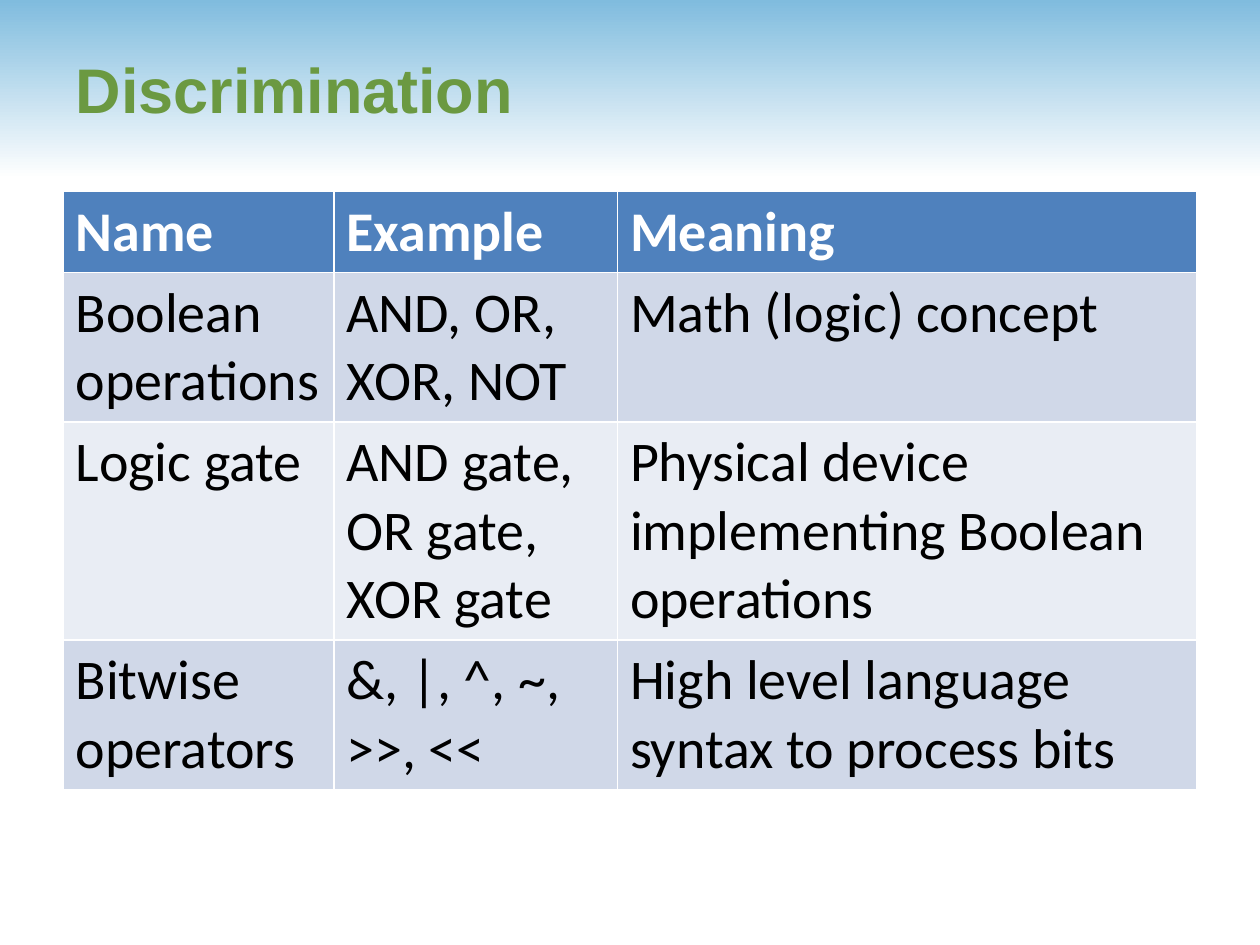
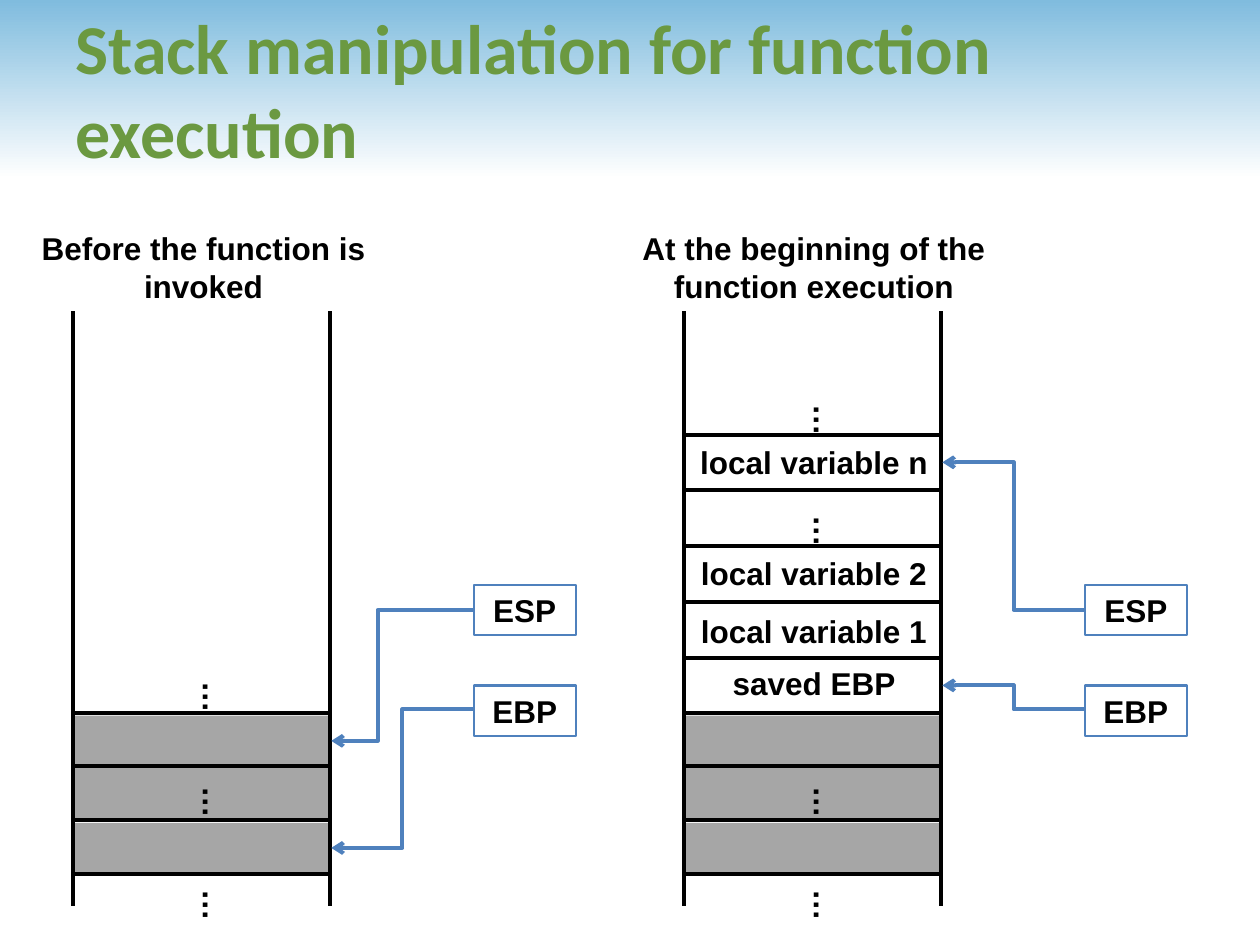
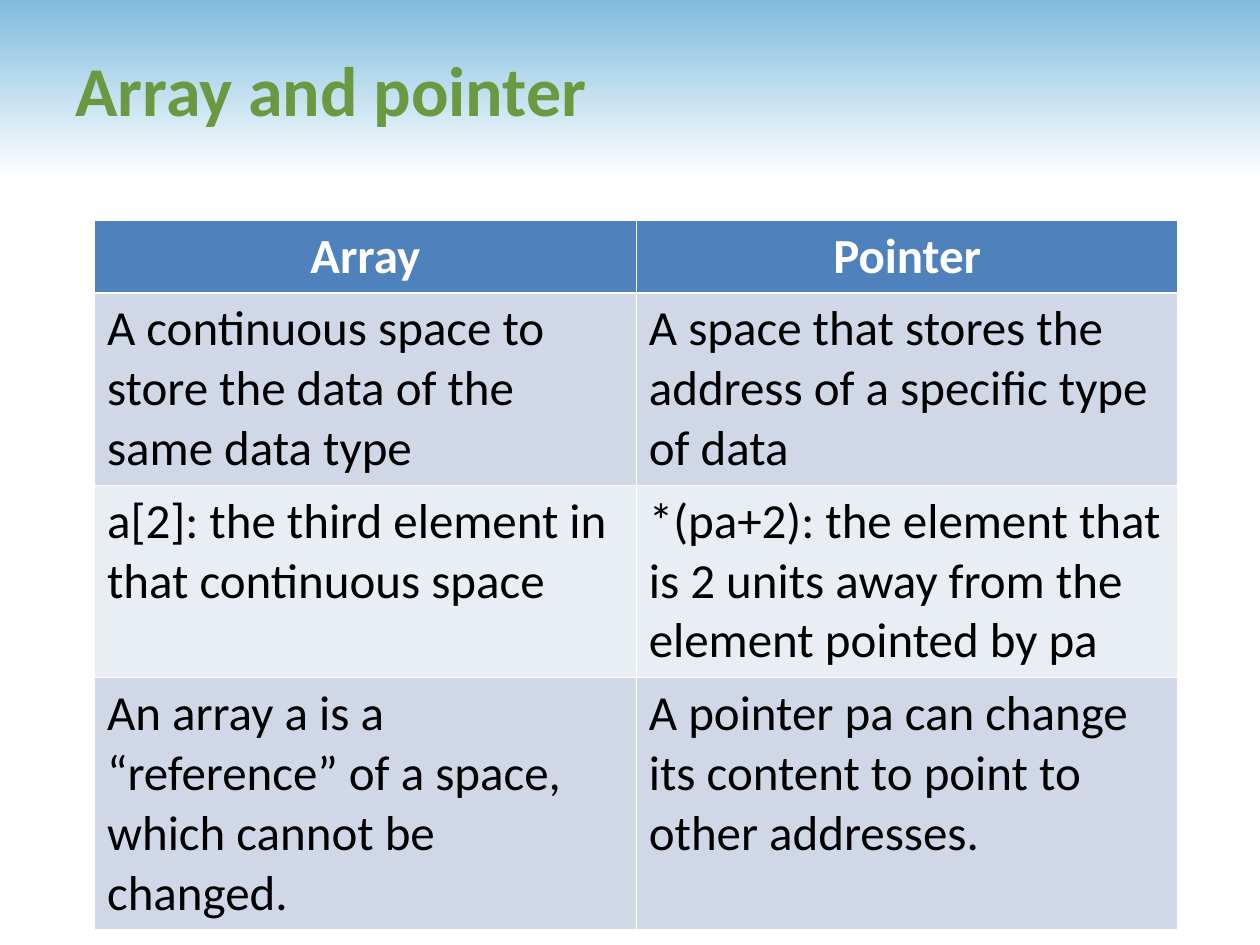
from pptx import Presentation
from pptx.dml.color import RGBColor
from pptx.enum.shapes import MSO_CONNECTOR, MSO_SHAPE
from pptx.enum.text import MSO_ANCHOR, MSO_AUTO_SIZE, PP_ALIGN
from pptx.oxml.ns import qn
from pptx.util import Emu, Pt
from lxml import etree

LINE, ELBOW = MSO_CONNECTOR.STRAIGHT, MSO_CONNECTOR.ELBOW
RECT = MSO_SHAPE.RECTANGLE
LEFT, CENTER = PP_ALIGN.LEFT, PP_ALIGN.CENTER
MIDDLE, FIXED = MSO_ANCHOR.MIDDLE, MSO_AUTO_SIZE.NONE

GREEN = RGBColor(0x6B, 0x99, 0x41)
SKY = RGBColor(0x80, 0xBC, 0xDE)
BLUE = RGBColor(0x4F, 0x81, 0xBD)
PALE = RGBColor(0xD0, 0xD8, 0xE8)
LIGHT = RGBColor(0xE9, 0xED, 0xF4)
GRAY = RGBColor(0xA6, 0xA6, 0xA6)
WHITE = RGBColor(0xFF, 0xFF, 0xFF)
BLACK = RGBColor(0, 0, 0)
PX = 9144


def write(frame, text, font="Arial", size=18, color=BLACK, bold=True, align=CENTER):
    frame.text = text
    frame.word_wrap = True
    para = frame.paragraphs[0]
    para.alignment = align
    run = para.runs[0].font
    run.name, run.size, run.bold = font, Pt(size), bold
    run.color.rgb = color


def link(slide, kind, ends, color):
    wire = slide.shapes.add_connector(kind, *[Emu(n * PX) for n in ends])
    wire.line.color.rgb = color
    wire.line.width = Pt(2.25)
    etree.SubElement(wire.element.spPr, qn("a:effectLst"))
    return wire


deck = Presentation()
deck.slide_width, deck.slide_height = Emu(1000 * PX), Emu(750 * PX)
layout = deck.slide_layouts[5]
head = layout.placeholders[0]
head.left, head.top, head.width, head.height = [Emu(n * PX) for n in (50, 8, 908, 125)]

titles = [
    ("Discrimination", "Arial", 36),
    ("Stack manipulation for function execution", "Calibri", 40),
    ("Array and pointer", "Calibri", 40),
]
slides = []
for text, font, size in titles:
    slide = deck.slides.add_slide(layout)
    frame = slide.shapes.title.text_frame
    write(frame, text, font, size, GREEN, True, LEFT)
    frame.vertical_anchor = MIDDLE
    frame.auto_size = FIXED
    slides.append(slide)

band = slides[0].shapes.add_shape(RECT, 0, 0, Emu(1000 * PX), Emu(142 * PX))
band.shadow.inherit = False
band.line.fill.background()
band.fill.gradient()
band.fill.gradient_angle = 270
for stop, color, place in zip(band.fill.gradient_stops, (SKY, WHITE), (0, 1)):
    stop.color.rgb = color
    stop.position = place
deck.slide_master.shapes.element.insert(2, band.element)

tables = [
    (slides[0], 50, 152, [215, 225, 460], [62, 118, 172, 118], 32, LEFT, [
        ("Name", "Example", "Meaning"),
        ("Boolean operations", "AND, OR, XOR, NOT", "Math (logic) concept"),
        ("Logic gate", "AND gate, OR gate, XOR gate",
         "Physical device implementing Boolean operations"),
        ("Bitwise operators", "&, |, ^, ~, >>, <<",
         "High level language syntax to process bits"),
    ]),
    (slides[2], 75, 175, [430, 430], [56, 152, 152, 199], 28, CENTER, [
        ("Array", "Pointer"),
        ("A continuous space to store the data of the same data type",
         "A space that stores the address of a specific type of data"),
        ("a[2]: the third element in that continuous space",
         "*(pa+2): the element that is 2 units away from the element pointed by pa"),
        ("An array a is a “reference” of a space, which cannot be changed.",
         "A pointer pa can change its content to point to other addresses."),
    ]),
]
for slide, x, y, cols, rows, size, align, data in tables:
    spot = [Emu(n * PX) for n in (x, y, sum(cols), sum(rows))]
    grid = slide.shapes.add_table(len(rows), len(cols), *spot).table
    for col, wide in zip(grid.columns, cols):
        col.width = Emu(wide * PX)
    for r, (tall, texts) in enumerate(zip(rows, data)):
        grid.rows[r].height = Emu(tall * PX)
        top = r == 0
        for c, text in enumerate(texts):
            cell = grid.cell(r, c)
            cell.fill.solid()
            cell.fill.fore_color.rgb = BLUE if top else (LIGHT, PALE)[r % 2]
            write(cell.text_frame, text, "Calibri", size, WHITE if top else BLACK,
                  top, align if top else LEFT)

slide = slides[1]
base = [694, 651, 608, 566]
stacks = [
    (58, base, [531, 614, 696],
     [(-23, 177, 369, 71, "Before the function is invoked")],
     [(484, 588, 0.674), (563, 673, 0.5)]),
    (543, base + [522, 478, 433, 389, 345], [311, 399, 614, 696],
     [(473, 177, 346, 71, "At the beginning of the function execution"),
      (544, 347, 204, 40, "local variable n"),
      (544, 435, 204, 40, "local variable 2"),
      (544, 481, 204, 40, "local variable 1"),
      (544, 522, 204, 40, "saved EBP")],
     [(484, 367, 0.5), (563, 544, 0.5)]),
]
for x, levels, dots, labels, wires in stacks:
    for y, tall in ((568, 41), (608, 43), (653, 41)):
        block = slide.shapes.add_shape(RECT, *[Emu(n * PX) for n in (x + 1, y, 203, tall)])
        block.shadow.inherit = False
        block.fill.solid()
        block.fill.fore_color.rgb = GRAY
        block.line.fill.background()
    for wall in (x, x + 204):
        link(slide, LINE, (wall, 247, wall, 719), BLACK)
    for y in levels:
        link(slide, LINE, (x, y, x + 204, y), BLACK)
    for y in dots:
        box = slide.shapes.add_textbox(*[Emu(n * PX) for n in (x + 99, y, 29, 40)])
        write(box.text_frame, "…", align=LEFT)
        box.text_frame.margin_left = box.text_frame.margin_right = 0
        box.element.txBody.bodyPr.set("vert", "eaVert")
    for left, y, wide, tall, text in labels:
        box = slide.shapes.add_textbox(*[Emu(n * PX) for n in (left, y, wide, tall)])
        write(box.text_frame, text)
    for name, y, (start, end, bend) in zip(("ESP", "EBP"), (464, 544), wires):
        tag = slide.shapes.add_shape(RECT, *[Emu(n * PX) for n in (x + 318, y, 81, 40)])
        tag.shadow.inherit = False
        tag.fill.background()
        tag.line.color.rgb = BLUE
        tag.line.width = Pt(1.25)
        write(tag.text_frame, name)
        wire = link(slide, ELBOW, (x + 318, start, x + 205, end), BLUE)
        shape = wire.element.spPr
        etree.SubElement(shape.find(qn("a:ln")), qn("a:tailEnd"), type="arrow")
        guides = shape.find(qn("a:prstGeom")).find(qn("a:avLst"))
        etree.SubElement(guides, qn("a:gd"), name="adj1", fmla=f"val {round(bend * 100000)}")

deck.save("out.pptx")
